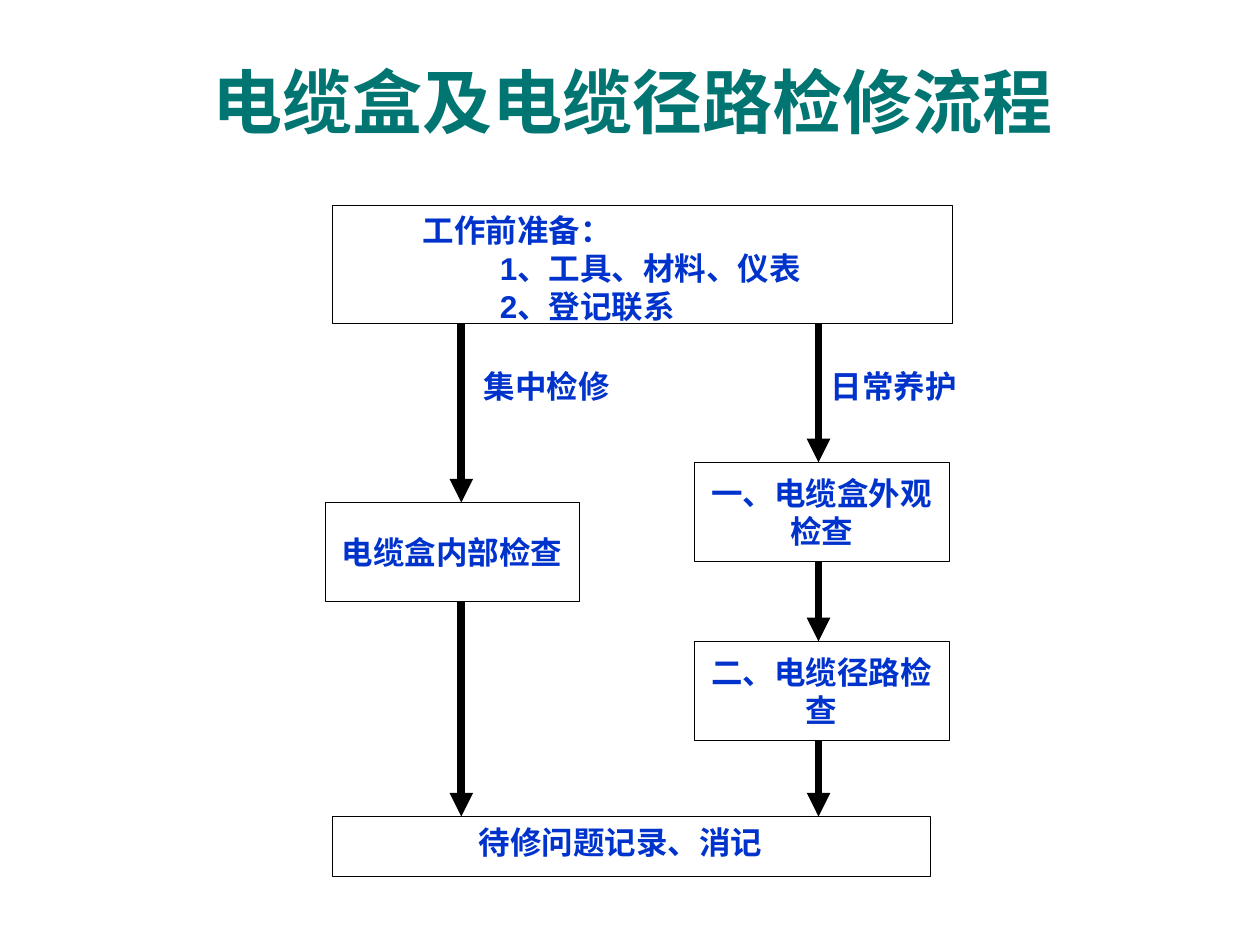
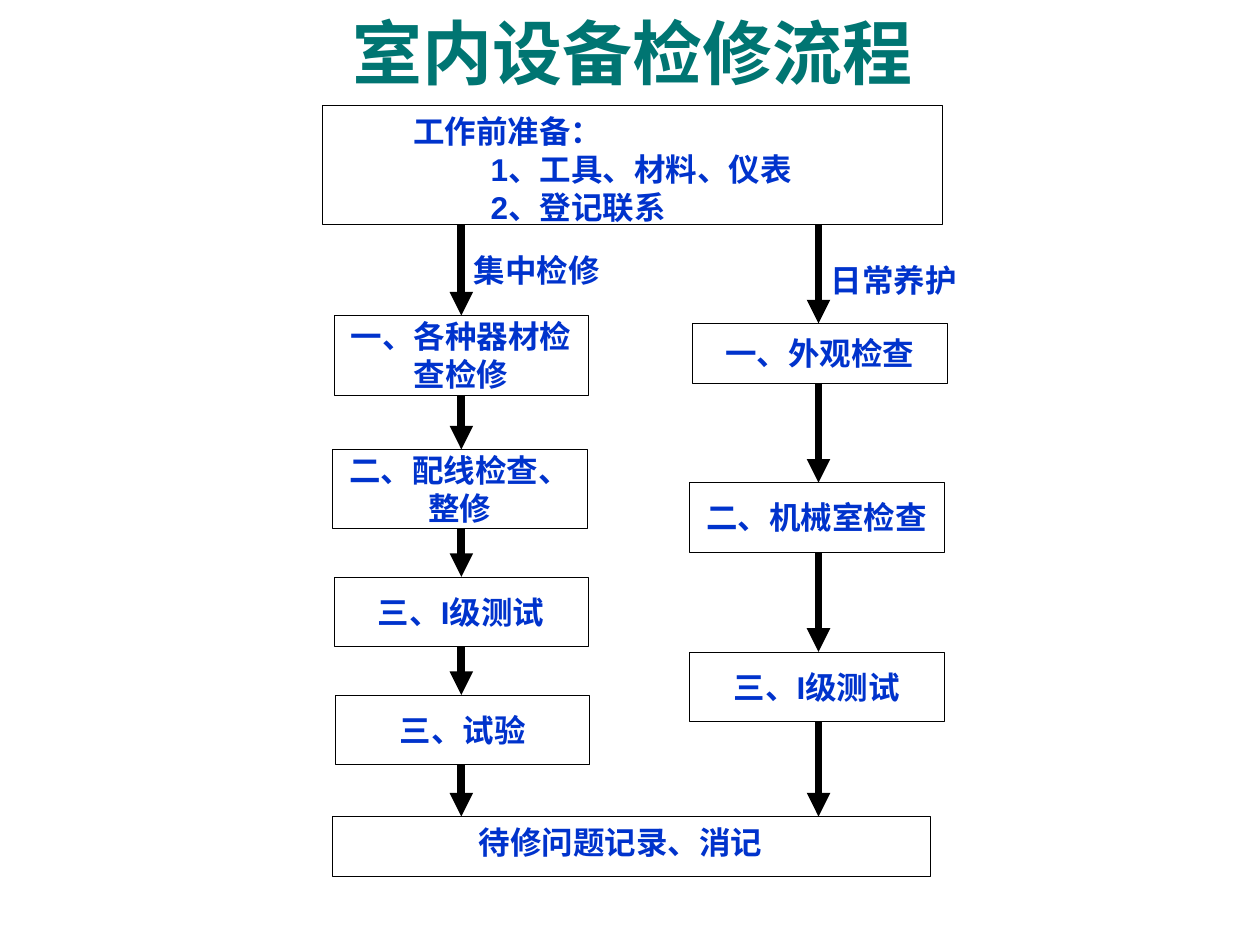
from dataclasses import dataclass

from lxml.etree import SubElement
from pptx import Presentation
from pptx.dml.color import RGBColor
from pptx.enum.shapes import MSO_CONNECTOR, MSO_SHAPE
from pptx.enum.text import MSO_ANCHOR, PP_ALIGN
from pptx.oxml.ns import qn
from pptx.util import Cm, Pt

COLORS = {"title": "007572", "text": "0033CC", "line": "000000", "box": "FFFFFF"}
FONT = "Arial"
STEP_WIDTH = 5.13
PREP_HEIGHT = 2.39
RECORD_TOP = 16.46


@dataclass
class Line:
    text: str
    indent: float = 0


@dataclass
class Step:
    text: str
    left: float
    top: float
    height: float


@dataclass
class Branch:
    label: str
    label_left: float
    label_top: float
    arrow_x: float
    steps: list[Step]


@dataclass
class Flow:
    title: str
    title_top: float
    prep_left: float
    prep_top: float
    branches: list[Branch]


PREPARATION = [
    Line("工作前准备：", 1.58),
    Line("1、工具、材料、仪表", 3.14),
    Line("2、登记联系", 3.14),
]
RECORD = [Line("待修问题记录、消记", 2.71)]

FLOWS = [
    Flow("电缆盒及电缆径路检修流程", 1.12, 6.69, 4.13, [
        Branch("集中检修", 9.5, 7.26, 9.3, [
            Step("电缆盒内部检查", 6.55, 10.13, 2),
        ]),
        Branch("日常养护", 16.5, 7.26, 16.5, [
            Step("一、电缆盒外观检查", 14, 9.32, 2),
            Step("二、电缆径路检查", 14, 12.93, 2),
        ]),
    ]),
    Flow("室内设备检修流程", 0.13, 6.5, 2.13, [
        Branch("集中检修", 9.3, 4.93, 9.3, [
            Step("一、各种器材检查检修", 6.73, 6.36, 1.6),
            Step("二、配线检查、整修", 6.7, 9.06, 1.6),
            Step("三、I级测试", 6.73, 11.63, 1.4),
            Step("三、试验", 6.76, 14.01, 1.4),
        ]),
        Branch("日常养护", 16.5, 5.13, 16.5, [
            Step("一、外观检查", 13.96, 6.52, 1.2),
            Step("二、机械室检查", 13.9, 9.73, 1.4),
            Step("三、I级测试", 13.9, 13.14, 1.4),
        ]),
    ]),
]


def rgb(name: str) -> RGBColor:
    return RGBColor.from_string(COLORS[name])


def write(sp, lines: list[Line], size: int = 18, color: str = "text",
          centered: bool = False, pad: float = 0.13) -> None:
    tf = sp.text_frame
    tf.word_wrap = True
    tf.margin_left = tf.margin_right = Cm(0.25)
    tf.margin_top = tf.margin_bottom = Cm(pad)
    tf.vertical_anchor = MSO_ANCHOR.MIDDLE if centered else MSO_ANCHOR.TOP
    for i, line in enumerate(lines):
        p = tf.paragraphs[0] if i == 0 else tf.add_paragraph()
        p.text = line.text
        p.alignment = PP_ALIGN.CENTER if centered else PP_ALIGN.LEFT
        if line.indent:
            p._p.get_or_add_pPr().set("marL", str(Cm(line.indent)))
        p.font.name, p.font.size, p.font.bold = FONT, Pt(size), True
        p.font.color.rgb = rgb(color)


def add_text(s, left: float, top: float, width: float, height: float):
    return s.shapes.add_textbox(Cm(left), Cm(top), Cm(width), Cm(height))


def add_box(s, left: float, top: float, width: float, height: float):
    sp = s.shapes.add_shape(MSO_SHAPE.RECTANGLE, Cm(left), Cm(top), Cm(width), Cm(height))
    sp.shadow.inherit = False
    sp.fill.solid()
    sp.fill.fore_color.rgb = rgb("box")
    sp.line.color.rgb = rgb("line")
    sp.line.width = Pt(0.25)
    return sp


def add_arrow(s, x: float, start: float, end: float) -> None:
    arrow = s.shapes.add_connector(MSO_CONNECTOR.STRAIGHT, Cm(x), Cm(start), Cm(x), Cm(end))
    arrow.line.color.rgb = rgb("line")
    arrow.line.width = Pt(4.5)
    SubElement(arrow.line._get_or_add_ln(), qn("a:tailEnd"), type="triangle")
    SubElement(arrow._element.spPr, qn("a:effectLst"))


def draw_branch(s, branch: Branch, start: float) -> None:
    """Draw the steps of one column, each reached by an arrow from the one above."""
    for step in branch.steps:
        sp = add_box(s, step.left, step.top, STEP_WIDTH, step.height)
        write(sp, [Line(step.text)], centered=True, pad=0.25)
        add_arrow(s, branch.arrow_x, start, step.top)
        start = step.top + step.height
    add_arrow(s, branch.arrow_x, start, RECORD_TOP)
    write(add_text(s, branch.label_left, branch.label_top, 4, 1.02), [Line(branch.label)])


def draw_flow(prs, flow: Flow) -> None:
    s = prs.slides.add_slide(prs.slide_layouts[6])
    # Title
    title = add_text(s, 0.89, flow.title_top, 23.72, 1.8)
    write(title, [Line(flow.title)], size=40, color="title", centered=True)
    # Shared first and last boxes
    write(add_box(s, flow.prep_left, flow.prep_top, 12.5, PREP_HEIGHT), PREPARATION)
    write(add_box(s, 6.69, RECORD_TOP, 12.06, 1.2), RECORD)
    # Branches between them
    for branch in flow.branches:
        draw_branch(s, branch, flow.prep_top + PREP_HEIGHT)


def main() -> None:
    prs = Presentation()
    prs.slide_width, prs.slide_height = Cm(25.4), Cm(19.05)
    for flow in FLOWS:
        draw_flow(prs, flow)
    prs.save("out.pptx")


if __name__ == "__main__":
    main()
